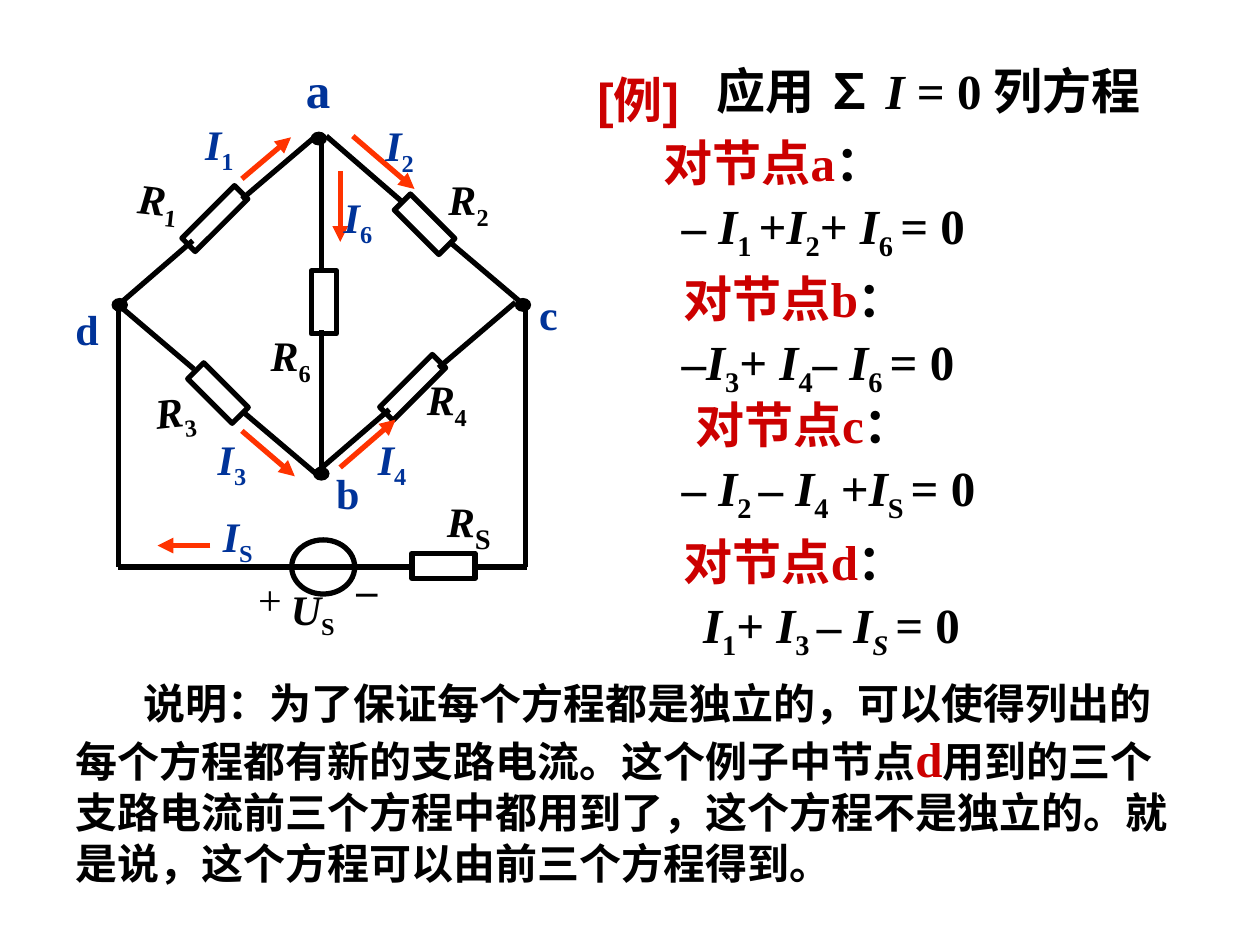
from dataclasses import dataclass
from itertools import groupby

from lxml import etree
from pptx import Presentation
from pptx.dml.color import RGBColor
from pptx.enum.shapes import MSO_CONNECTOR, MSO_SHAPE
from pptx.enum.text import MSO_ANCHOR, MSO_AUTO_SIZE, PP_ALIGN
from pptx.oxml.ns import qn
from pptx.util import Inches, Pt

STRAIGHT = MSO_CONNECTOR.STRAIGHT
RECT, OVAL = MSO_SHAPE.RECTANGLE, MSO_SHAPE.OVAL
TOP, MID = MSO_ANCHOR.TOP, MSO_ANCHOR.MIDDLE
GROW, FIXED = MSO_AUTO_SIZE.SHAPE_TO_FIT_TEXT, MSO_AUTO_SIZE.NONE
LEFT, CENTER = PP_ALIGN.LEFT, PP_ALIGN.CENTER


@dataclass(frozen=True)
class Theme:
    ink: RGBColor = RGBColor(0, 0, 0)
    paper: RGBColor = RGBColor(255, 255, 255)
    red: RGBColor = RGBColor(0xCC, 0, 0)
    blue: RGBColor = RGBColor(0, 0x33, 0x99)
    flow: RGBColor = RGBColor(0xFF, 0x33, 0)
    serif: str = "Times New Roman"
    sans: str = "Arial"
    big: int = 28
    small: int = 24
    wire: float = 3
    thin: float = 0.75


THEME = Theme()


def apply(obj, values):
    for key, val in values.items():
        setattr(obj, key, val)


def split(text):
    """Yield (string, marks): ~ toggles italic, _ subscript, ^ red accent."""
    on, chars = set(), []
    for char in text:
        if char in "~_^":
            on ^= {char}
        else:
            chars.append((char, frozenset(on)))
    for marks, part in groupby(chars, key=lambda item: item[1]):
        yield "".join(char for char, _ in part), marks


def write(shape, text, size=THEME.big, face=THEME.serif, color=THEME.ink,
          bold=True, align=LEFT, anchor=TOP, wrap=True, fit=GROW):
    frame = shape.text_frame
    apply(frame, {"word_wrap": wrap, "auto_size": fit, "vertical_anchor": anchor})
    para = frame.paragraphs[0]
    para.alignment = align
    for part, marks in split(text):
        run = para.add_run()
        run.text = part
        red = "^" in marks
        apply(run.font, {"size": Pt(THEME.big if red else size), "bold": bold,
                         "name": THEME.serif if red else face, "italic": "~" in marks})
        run.font.color.rgb = THEME.red if red else color
        if "_" in marks:
            run._r.get_or_add_rPr().set("baseline", "-25000")
    return para


def place(box, x, y, w, h):
    return Inches(box[0] + x), Inches(box[1] + y), Inches(w), Inches(h)


def line(shapes, box, start, end, color=THEME.ink, arrow=False):
    ends = [Inches(box[i] + point[i]) for point in (start, end) for i in (0, 1)]
    wire = shapes.add_connector(STRAIGHT, *ends)
    wire.line.color.rgb = color
    wire.line.width = Pt(THEME.wire)
    if arrow:
        tip = etree.SubElement(wire.line._get_or_add_ln(), qn("a:tailEnd"))
        tip.set("type", "triangle")
    etree.SubElement(wire._element.spPr, qn("a:effectLst"))


def part(shapes, box, kind, spot, turn=0, fill=None, width=THEME.wire):
    shape = shapes.add_shape(kind, *place(box, *spot))
    shape.shadow.inherit = False
    shape.rotation = turn
    if fill is None:
        shape.fill.background()
    else:
        shape.fill.solid()
        shape.fill.fore_color.rgb = fill
    shape.line.color.rgb = THEME.ink
    shape.line.width = Pt(width)


def heading(slide, box):
    title = slide.shapes.title
    apply(title, dict(zip(("left", "top", "width", "height"), place(box, 1.08, 0, 4.08, 0.57))))
    write(title, "应用 ∑ ~I~ = 0 列方程", align=CENTER, anchor=MID, fit=FIXED)
    tag = slide.shapes.add_textbox(*place(box, 0, 0.01, 1.63, 0.81))
    para = write(tag, "[例]", face=THEME.sans, color=THEME.red,
                 align=CENTER, anchor=MID, fit=FIXED)
    para.line_spacing = 0.7


def nodes(slide, box):
    # Node name, heading x and y, equation x, equation
    rows = [
        ("a", 0, 0, 0.08, "– ~I~_1 _+~I~_2_+ ~I~_6 _= 0"),
        ("b", 0.16, 1.08, 0.08, "–~I~_3_+ ~I~_4_– ~I~_6 _= 0"),
        ("c", 0.25, 2.08, 0.08, "– ~I~_2 _– ~I~_4_ +~I~_S _= 0"),
        ("d", 0.16, 3.17, 0.25, "~I~_1_+ ~I~_3 _– ~I_S _~= 0"),
    ]
    for name, left, top, inset, law in rows:
        head = slide.shapes.add_textbox(*place(box, left, top, 2.75, 0.57))
        write(head, f"^对节点{name}^：")
        body = slide.shapes.add_textbox(*place(box, inset, top + 0.5, 3.75, 0.57))
        body.text_frame.margin_left = Inches(0.16)
        write(body, law)


def note(slide, box):
    shape = slide.shapes.add_textbox(*place(box, 0, 0, 9, 1.77))
    para = write(shape, "说明：为了保证每个方程都是独立的，可以使得列出的每个方程都有新的支路电流。"
                 "这个例子中节点^d^用到的三个支路电流前三个方程中都用到了，"
                 "这个方程不是独立的。就是说，这个方程可以由前三个方程得到。",
                 size=THEME.small, face=THEME.sans)
    para._p.get_or_add_pPr().set("indent", str(Inches(0.54)))


def circuit(slide, box):
    shapes = slide.shapes.add_group_shape().shapes

    # Wires
    for start, end in [
        ((2.05, 0.68), (2.05, 1.77)), ((2.05, 2.22), (2.05, 3.34)),
        ((3.67, 2.02), (3.67, 4.1)), ((0.44, 2), (0.44, 4.1)),
        ((0.44, 4.1), (3.68, 4.1)),
        ((2.98, 2.52), (3.59, 2)), ((2.59, 2.85), (2.01, 3.35)),
        ((1.42, 1.18), (2.02, 0.67)), ((1.03, 1.51), (0.44, 2.02)),
        ((1.04, 2.53), (0.44, 2.02)), ((1.43, 2.87), (2.02, 3.37)),
        ((2.69, 1.2), (2.09, 0.68)), ((3.08, 1.53), (3.67, 2.03)),
    ]:
        line(shapes, box, start, end)

    # Resistors R1, R4, R3, R2, R6, RS and the source
    for x, y in [(1.13, 1.04), (2.7, 2.38)]:
        part(shapes, box, RECT, (x, y, 0.15, 0.59), 45)
    for x, y in [(1.14, 2.47), (2.78, 1.13)]:
        part(shapes, box, RECT, (x, y, 0.18, 0.5), 315)
    part(shapes, box, RECT, (1.97, 1.75, 0.2, 0.5))
    part(shapes, box, RECT, (2.92, 3.84, 0.2, 0.5), 270, THEME.paper)
    part(shapes, box, OVAL, (1.85, 3.85, 0.43, 0.5), 90)

    # Node dots
    for x, y in [(1.97, 0.65), (0.39, 1.97), (3.59, 1.97), (1.99, 3.31)]:
        part(shapes, box, OVAL, (x, y, 0.12, 0.1), 0, THEME.ink, THEME.thin)

    # Current arrows
    for start, end in [
        ((1.42, 1.02), (1.81, 0.69)), ((2.3, 0.68), (2.79, 1.1)),
        ((1.42, 3.02), (1.84, 3.38)), ((2.2, 3.31), (2.64, 2.93)),
        ((2.2, 0.96), (2.2, 1.52)), ((1.17, 3.93), (0.75, 3.93)),
    ]:
        line(shapes, box, start, end, THEME.flow, True)

    def label(text, x, y, w, turn=0, **style):
        shape = shapes.add_textbox(*place(box, x, y, w, 0.5))
        shape.rotation = turn
        return write(shape, text, **{"size": THEME.small, "wrap": w > 0.6, **style})

    # Node and current names
    label("a", 1.83, 0.02, 0.4, size=THEME.big, color=THEME.blue)
    for text, x, y, w in [
        ("b", 2.07, 3.26, 0.39), ("c", 3.68, 1.84, 0.35), ("d", 0, 1.96, 0.39),
        ("~I~_1", 1.03, 0.49, 0.44), ("~I~_2", 2.46, 0.5, 0.44),
        ("~I~_3", 1.13, 2.99, 0.44), ("~I~_4", 2.4, 2.99, 0.44),
        ("~I~_6", 2.13, 1.07, 0.44), ("~I~_S", 1.17, 3.6, 0.45),
    ]:
        label(text, x, y, w, color=THEME.blue)

    # Resistor and source names
    for text, x, y, w, turn in [
        ("~R~_1", 0.5, 0.93, 0.54, 6.2), ("~R~_2", 2.96, 0.93, 0.54, 359.7),
        ("~R~_3", 0.63, 2.6, 0.75, 353.9), ("~R~_4", 2.79, 2.52, 0.53, 0.5),
        ("~R~_6", 1.55, 2.17, 0.53, 0), ("~U~_S", 1.71, 4.18, 0.78, 0),
        ("–", 2.23, 4.02, 0.37, 0),
    ]:
        label(text, x, y, w, turn)
    label("+", 1.45, 4.1, 0.39, bold=False)
    load = label("~R~_S", 2.95, 3.43, 0.72, 0.5)
    load.runs[-1].font.size = Pt(THEME.big)


def main():
    deck = Presentation()
    apply(deck, {"slide_width": Inches(10), "slide_height": Inches(7.5)})
    slide = deck.slides.add_slide(deck.slide_layouts[5])
    heading(slide, (4.25, 0.43))
    nodes(slide, (5.17, 1))
    note(slide, (0.5, 5.33))
    circuit(slide, (0.5, 0.4))
    deck.save("out.pptx")


if __name__ == "__main__":
    main()
